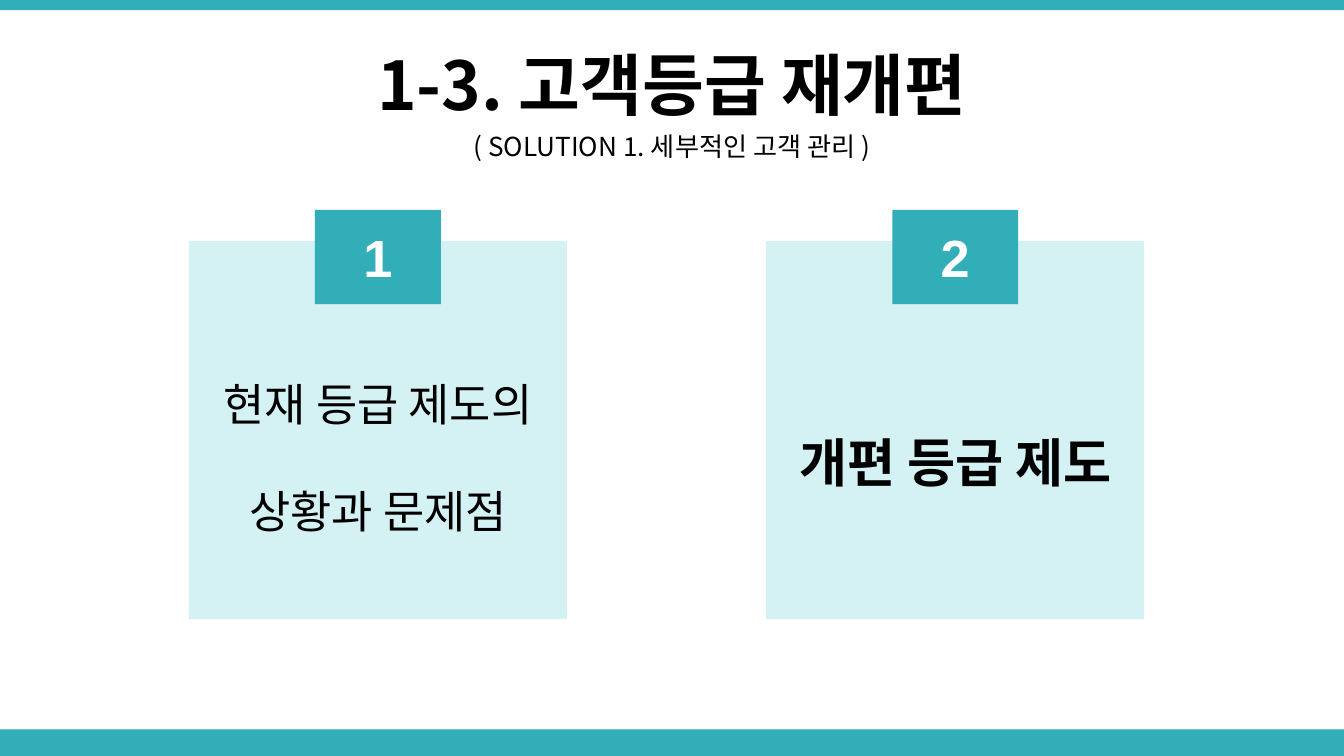
"""Build the section slide on the reorganised customer grades."""
import pptx
import pptx.util
import pptx.dml.color
import pptx.enum.shapes
import pptx.enum.text
import pptx.oxml.ns
import lxml.etree

Pt = pptx.util.Pt

HEADINGS = [
    {"text": "1-3. 고객등급 재개편", "style": "title", "top": 22.5, "height": 45},
    {"text": "( SOLUTION 1. 세부적인 고객 관리 )", "style": "subtitle", "top": 67.25, "height": 22.5},
]
CARDS = [
    {"lines": ["현재 등급 제도의", "상황과 문제점"], "style": "topic"},
    {"lines": ["개편 등급 제도"], "style": "current_topic"},
]

KOREAN = "Noto Sans CJK KR"
THEME = {
    "accent": "32AEB8",
    "card": "D4F1F3",
    "title": (KOREAN, 36, True, "000000"),
    "subtitle": (KOREAN, 14, False, "000000"),
    "topic": (KOREAN, 24, False, "000000"),
    "current_topic": (KOREAN, 28, True, "000000"),
    "number": ("Arial", 28, True, "FFFFFF"),
}

WIDTH, HEIGHT = 720, 405
TOP_BAND, BOTTOM_BAND = 5.5, 14.25
CARD_LEFT, CARD_TOP, CARD_SIZE, CARD_STEP = 101.25, 129.25, 202.5, 309.25
BADGE_WIDTH, BADGE_HEIGHT, BADGE_RISE = 67.5, 50.5, 16.75


def rgb(value):
    return pptx.dml.color.RGBColor.from_string(value)


def write(frame, lines, style, spacing=1.0):
    face, size, bold, color = THEME[style]
    frame.word_wrap = True
    frame.vertical_anchor = pptx.enum.text.MSO_ANCHOR.MIDDLE
    for index, line in enumerate(lines):
        paragraph = frame.add_paragraph() if index else frame.paragraphs[0]
        paragraph.text = line
        paragraph.alignment = pptx.enum.text.PP_ALIGN.CENTER
        paragraph.line_spacing = spacing
        font = paragraph.font
        font.size, font.bold, font.name = Pt(size), bold, face
        font.color.rgb = rgb(color)
        properties = paragraph._p.pPr.find(pptx.oxml.ns.qn("a:defRPr"))
        east_asian = lxml.etree.SubElement(properties, pptx.oxml.ns.qn("a:ea"))
        east_asian.set("typeface", face)


def add_block(slide, left, top, width, height, fill):
    block = slide.shapes.add_shape(
        pptx.enum.shapes.MSO_SHAPE.RECTANGLE, Pt(left), Pt(top), Pt(width), Pt(height)
    )
    block.shadow.inherit = False
    block.fill.solid()
    block.fill.fore_color.rgb = rgb(THEME[fill])
    block.line.fill.background()
    return block


def main():
    deck = pptx.Presentation()
    deck.slide_width, deck.slide_height = Pt(WIDTH), Pt(HEIGHT)
    slide = deck.slides.add_slide(deck.slide_layouts[6])

    add_block(slide, 0, HEIGHT - BOTTOM_BAND, WIDTH, BOTTOM_BAND, "accent")
    add_block(slide, 0, 0, WIDTH, TOP_BAND, "accent")

    for heading in HEADINGS:
        box = slide.shapes.add_textbox(0, Pt(heading["top"]), Pt(WIDTH), Pt(heading["height"]))
        write(box.text_frame, [heading["text"]], heading["style"])

    for index, content in enumerate(CARDS):
        left = CARD_LEFT + index * CARD_STEP
        card = add_block(slide, left, CARD_TOP, CARD_SIZE, CARD_SIZE, "card")
        write(card.text_frame, content["lines"], content["style"], 2.0)
        badge_left = left + (CARD_SIZE - BADGE_WIDTH) / 2
        badge = add_block(
            slide, badge_left, CARD_TOP - BADGE_RISE, BADGE_WIDTH, BADGE_HEIGHT, "accent"
        )
        write(badge.text_frame, [str(index + 1)], "number")

    deck.save("out.pptx")


if __name__ == "__main__":
    main()
